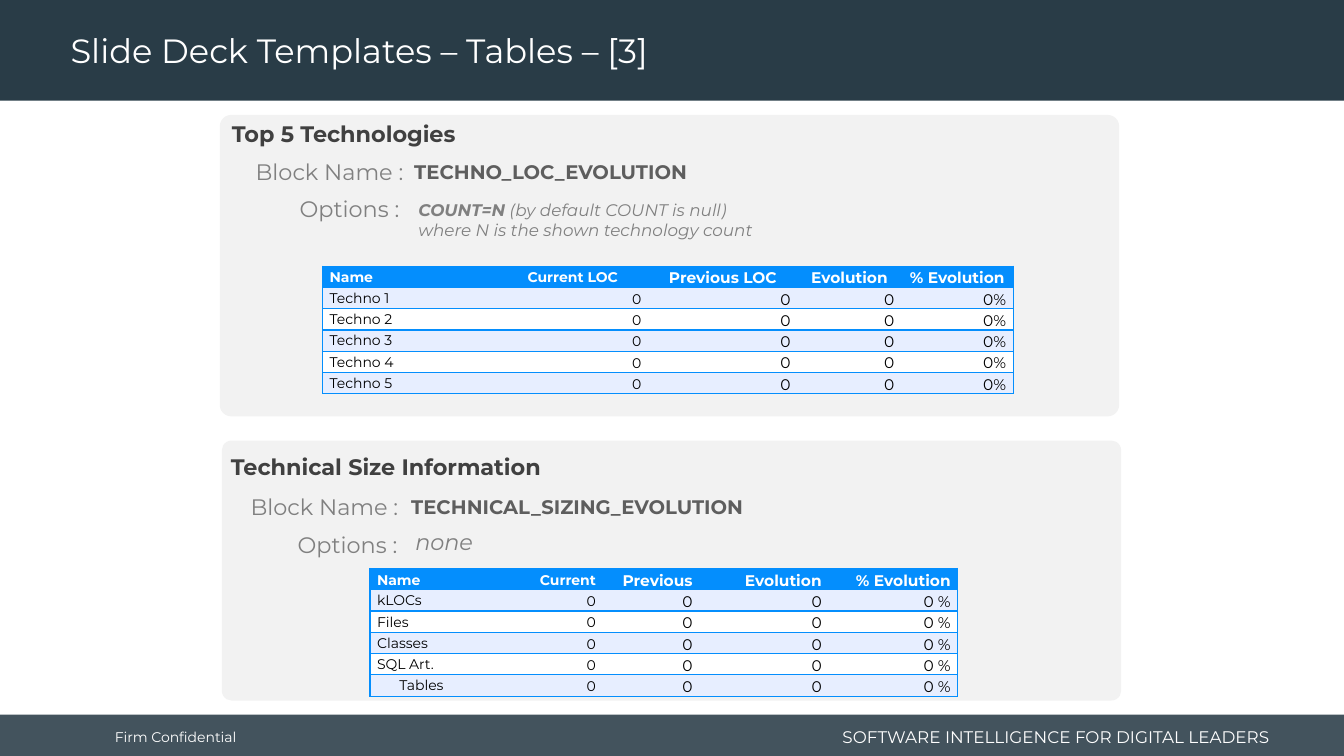
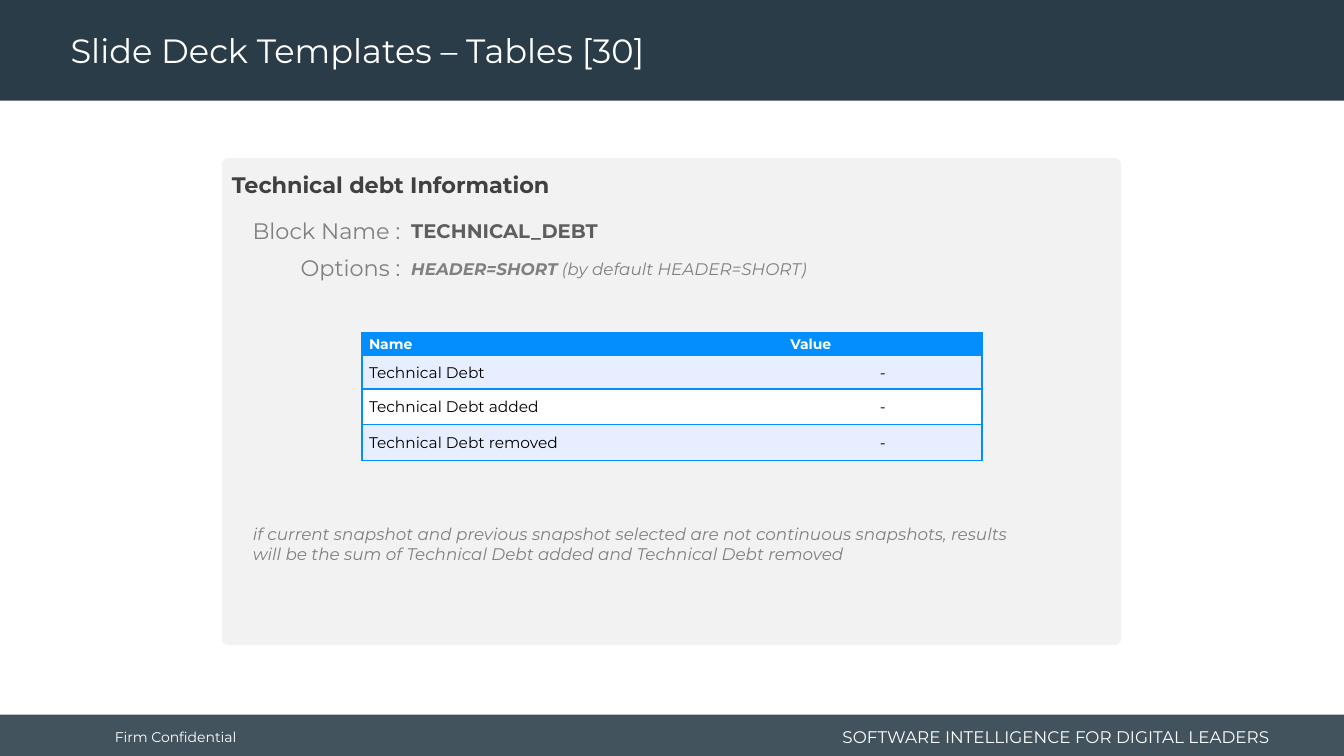
"""Build two slides that document table blocks of a report template."""
import pptx
import pptx.dml.color
import pptx.enum.shapes
import pptx.enum.text
import pptx.oxml
import pptx.oxml.ns
import pptx.util
from pptx.util import Inches

ALIGN = pptx.enum.text.PP_ALIGN
ANCHOR = pptx.enum.text.MSO_ANCHOR
SHAPE = pptx.enum.shapes.MSO_SHAPE

FONT = "Montserrat"
NAVY, WHITE, BLACK = "293C47", "FFFFFF", "000000"
PANEL, STRIPE, BLUE = "F2F2F2", "E7EEFF", "048EFD"
DARK, MID, GREY = "404040", "5E5E5E", "808080"

BANDS = [((0, 7.09, 13.33, 0.44), 88), ((0, 0, 13.33, 1), 100)]
FOOTERS = [
    ((1.04, 7.11, 1.48, 0.4), "Firm Confidential", 10, ALIGN.LEFT, False),
    ((8.11, 7.15, 4.58, 0.32), "SOFTWARE INTELLIGENCE FOR DIGITAL LEADERS", 12, ALIGN.RIGHT, True),
]
TITLE_BOX = (0.6, 0.04, 9.58, 0.96)

ROLES = {
    "heading": dict(size=16, color=DARK, bold=True, w=8.91, h=0.37, inset=0.2),
    "name": dict(size=14, color=MID, bold=True, w=7.25, h=0.34),
    "name label": dict(size=16, color=GREY, w=1.67, h=0.37, align=ALIGN.RIGHT, wrap=False),
    "options label": dict(size=16, color=GREY, w=1.21, h=0.37, align=ALIGN.RIGHT, wrap=False),
    "options": dict(size=12, color=GREY, italic=True, w=7.25, h=0.5),
    "no options": dict(size=16, color=GREY, italic=True, w=7.25, h=0.37),
    "note": dict(size=12, color=GREY, italic=True, w=7.87, h=0.5),
}

TECHNOLOGIES = dict(
    box=(2.18, 1.14, 8.92, 2.99), radius=0.038,
    texts=[
        ("heading", 2.1, 1.14, "", "Top 5 Technologies"),
        ("name", 4.01, 1.54, "", "TECHNO_LOC_EVOLUTION"),
        ("name label", 2.43, 1.52, "", "Block Name :"),
        ("options", 4.05, 1.93, "COUNT=N",
         " (by default COUNT is null)\nwhere N is the shown technology count"),
        ("options label", 2.85, 1.89, "", "Options :"),
    ],
    table=dict(
        at=(3.2, 2.64), cols=[1.73, 1.5, 1.48, 1.03, 1.11], heights=[0.2] * 6,
        rows=[["Name", "Current LOC", "Previous LOC", "Evolution", "% Evolution"]]
        + [[f"Techno {n}", "0", "0", "0", "0%"] for n in range(1, 6)],
        sizes=[10, 10, 11, 11, 11], head=ALIGN.CENTER, body=ALIGN.RIGHT,
        spacing=1.15, first_anchor=ANCHOR.TOP),
)
SIZING = dict(
    box=(2.2, 4.37, 8.92, 2.58), radius=0.038,
    texts=[
        ("heading", 2.09, 4.45, "", "Technical Size Information"),
        ("name", 3.98, 4.86, "", "TECHNICAL_SIZING_EVOLUTION"),
        ("name label", 2.38, 4.84, "", "Block Name :"),
        ("no options", 4.02, 5.19, "", "none"),
        ("options label", 2.83, 5.22, "", "Options :"),
    ],
    table=dict(
        at=(3.67, 5.64), cols=[1.35, 0.96, 0.96, 1.28, 1.28], heights=[0.2] * 6,
        rows=[["Name", "Current", "Previous", "Evolution", "% Evolution"]]
        + [[name, "0", "0", "0", "0 %"]
           for name in ("kLOCs", "Files", "Classes", "SQL Art.", "Tables")],
        sizes=[10, 10, 11, 11, 11], head=ALIGN.RIGHT, body=ALIGN.RIGHT,
        spacing=1.15, first_anchor=ANCHOR.TOP, indented="Tables"),
)
DEBT = dict(
    box=(2.2, 1.57, 8.92, 4.83), radius=0.013,
    texts=[
        ("heading", 2.1, 1.65, "", "Technical debt Information"),
        ("name", 3.98, 2.12, "", "TECHNICAL_DEBT"),
        ("name label", 2.4, 2.11, "", "Block Name :"),
        ("options", 3.98, 2.52, "HEADER=SHORT", " (by default HEADER=SHORT)"),
        ("options label", 2.86, 2.47, "", "Options :"),
        ("note", 2.41, 5.15, "",
         "if current snapshot and previous snapshot selected are not continuous snapshots, "
         "results will be the sum of Technical Debt added and Technical Debt removed"),
    ],
    table=dict(
        at=(3.59, 3.3), cols=[4.18, 1.97], heights=[0.23, 0.33, 0.35, 0.36],
        rows=[["Name", "Value"], ["Technical Debt", "-"],
              ["Technical Debt added", "-"], ["Technical Debt removed", "-"]],
        sizes=[11, 11], head=ALIGN.LEFT, body=ALIGN.CENTER,
        spacing=1, first_anchor=ANCHOR.MIDDLE, head_size=10),
)
SLIDES = [
    ("Slide Deck Templates – Tables – [3]", [TECHNOLOGIES, SIZING]),
    ("Slide Deck Templates – Tables [30]", [DEBT]),
]


def rgb(value):
    """Turn a hex string into a colour."""
    return pptx.dml.color.RGBColor.from_string(value)


def inches(box):
    """Turn plain numbers into lengths."""
    return [Inches(v) for v in box]


def style(p, size, color, bold=False, italic=False, align=ALIGN.LEFT, spacing=None):
    """Format a paragraph and all its runs."""
    p.alignment = align
    p.line_spacing = spacing
    for r in p.runs:
        r.font.name, r.font.size = FONT, pptx.util.Pt(size)
        r.font.bold, r.font.italic = bold, italic
        r.font.color.rgb = rgb(color)


def add_block(shapes, kind, box, color):
    """Add a flat filled shape without an outline."""
    sp = shapes.add_shape(kind, *inches(box))
    sp.shadow.inherit = False
    sp.fill.solid()
    sp.fill.fore_color.rgb = rgb(color)
    sp.line.fill.background()
    return sp


def add_frame(s, layout):
    """Draw the bands and footers and move them to the shared layout."""
    for ph in list(layout.placeholders):
        if ph.placeholder_format.idx != 0:
            layout.shapes.element.remove(ph.element)
    parts = []
    for box, opacity in BANDS:
        sp = add_block(s.shapes, SHAPE.RECTANGLE, box, NAVY)
        color = sp.element.spPr.find(".//" + pptx.oxml.ns.qn("a:srgbClr"))
        alpha = color.makeelement(pptx.oxml.ns.qn("a:alpha"), {"val": str(opacity * 1000)})
        color.append(alpha)
        parts.append(sp)
    for box, text, size, align, wrap in FOOTERS:
        sp = s.shapes.add_textbox(*inches(box))
        tf = sp.text_frame
        tf.text, tf.word_wrap, tf.vertical_anchor = text, wrap, ANCHOR.MIDDLE
        style(tf.paragraphs[0], size, WHITE, align=align)
        parts.append(sp)
    for sp in parts:
        layout.shapes.element.append(sp.element)


def set_title(s, text):
    """Place and format the slide title."""
    sp = s.shapes.title
    sp.left, sp.top, sp.width, sp.height = inches(TITLE_BOX)
    tf = sp.text_frame
    tf.text, tf.word_wrap, tf.vertical_anchor = text, True, ANCHOR.MIDDLE
    tf.auto_size = pptx.enum.text.MSO_AUTO_SIZE.NONE
    style(tf.paragraphs[0], 24, WHITE, spacing=0.9)


def add_text(shapes, role, x, y, lead, text):
    """Add a text box in one of the roles, with an optional bold lead."""
    look = dict(ROLES[role])
    box = (x, y, look.pop("w"), look.pop("h"))
    inset, wrap = look.pop("inset", 0.1), look.pop("wrap", True)
    tf = shapes.add_textbox(*inches(box)).text_frame
    tf.word_wrap = wrap
    tf.margin_left = tf.margin_right = Inches(inset)
    tf.text = lead + text
    for p in tf.paragraphs:
        style(p, **look)
    if lead:
        p = tf.paragraphs[0]
        p.text = lead
        p.add_run().text = text.split("\n")[0]
        style(p, **look)
        p.runs[0].font.bold = True


def set_borders(cell, visible):
    """Draw the visible sides of a cell and clear the others."""
    tcPr = cell._tc.get_or_add_tcPr()
    ns = pptx.oxml.ns.nsdecls("a")
    for i, side in enumerate("LRTB"):
        fill = (f'<a:solidFill><a:srgbClr val="{BLUE}"/></a:solidFill>'
                if side in visible else "<a:noFill/>")
        tcPr.insert(i, pptx.oxml.parse_xml(f'<a:ln{side} {ns} w="12700">{fill}</a:ln{side}>'))


def add_table(s, spec):
    """Add a striped table with blue rules between its rows."""
    rows, cols, heights = spec["rows"], spec["cols"], spec["heights"]
    box = (*spec["at"], sum(cols), sum(heights))
    table = s.shapes.add_table(len(rows), len(cols), *inches(box)).table
    for col, width in zip(table.columns, cols):
        col.width = Inches(width)
    for row, height in zip(table.rows, heights):
        row.height = Inches(height)
    for i, texts in enumerate(rows):
        head = i == 0
        for j, text in enumerate(texts):
            cell = table.cell(i, j)
            first = j == 0
            cell.text = text
            cell.margin_top = cell.margin_bottom = 0
            cell.margin_left = cell.margin_right = Inches(0.07)
            if text == spec.get("indented"):
                cell.margin_left = Inches(0.29)
            cell.vertical_anchor = spec["first_anchor"] if first and not head else ANCHOR.MIDDLE
            cell.fill.solid()
            cell.fill.fore_color.rgb = rgb(BLUE if head else STRIPE if i % 2 else WHITE)
            align = ALIGN.LEFT if first else spec["head" if head else "body"]
            size = spec.get("head_size", spec["sizes"][j]) if head else spec["sizes"][j]
            style(cell.text_frame.paragraphs[0], size, WHITE if head else BLACK,
                  bold=head, align=align, spacing=spec["spacing"])
            set_borders(cell, "TB" + "L" * first + "R" * (j == len(cols) - 1))


def add_panel(s, panel):
    """Add a rounded panel with its texts and its table."""
    shapes = s.shapes.add_group_shape().shapes
    sp = add_block(shapes, SHAPE.ROUNDED_RECTANGLE, panel["box"], PANEL)
    sp.adjustments[0] = panel["radius"]
    for text in panel["texts"]:
        add_text(shapes, *text)
    add_table(s, panel["table"])


def main():
    """Build and save the presentation."""
    prs = pptx.Presentation()
    prs.slide_width, prs.slide_height = Inches(13.33), Inches(7.5)
    layout = prs.slide_layouts.get_by_name("Title Only")
    slides = [prs.slides.add_slide(layout) for _ in SLIDES]
    add_frame(slides[0], layout)
    for s, (title, panels) in zip(slides, SLIDES):
        set_title(s, title)
        for panel in panels:
            add_panel(s, panel)
    prs.save("out.pptx")


if __name__ == "__main__":
    main()
